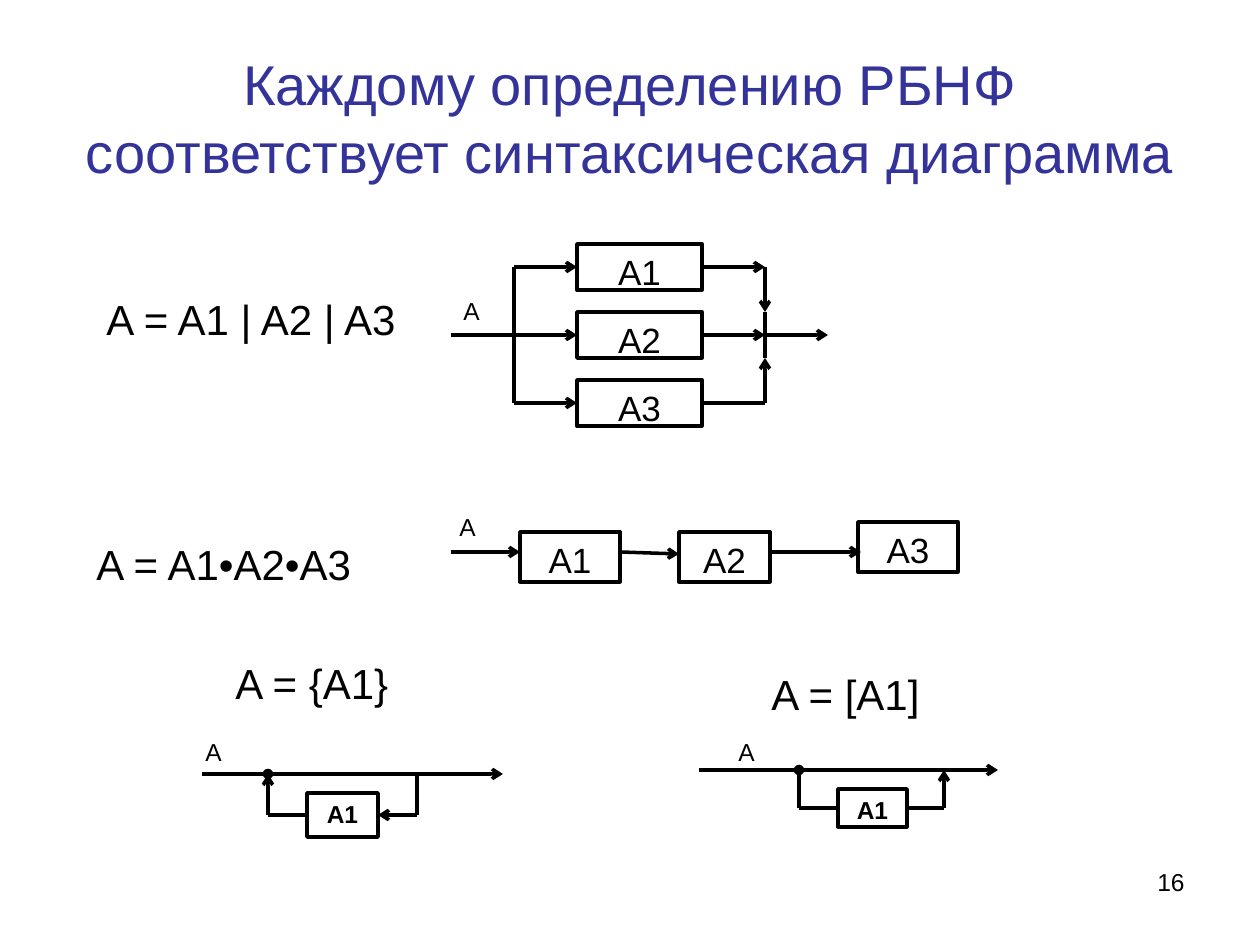
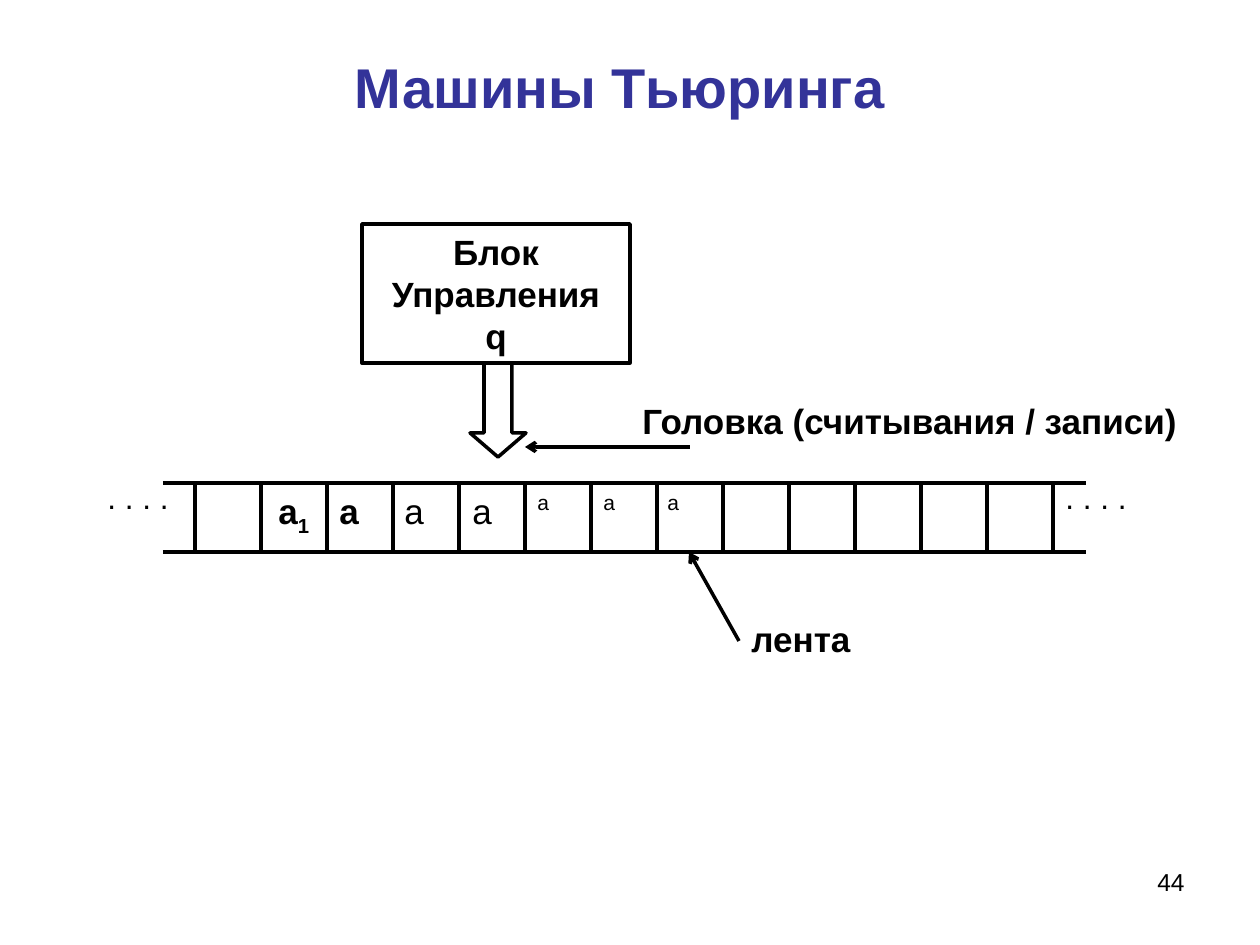
from lxml import etree
from pptx import Presentation, util as u
from pptx.dml.color import RGBColor
from pptx.enum import shapes, text
from pptx.oxml.ns import qn

PX = 914400 / 126
BLACK = RGBColor(0, 0, 0)
WHITE = RGBColor(255, 255, 255)
NAVY = RGBColor(0x33, 0x33, 0x99)
FONT = "Arial"
LEFT, MID, RIGHT = text.PP_ALIGN.LEFT, text.PP_ALIGN.CENTER, text.PP_ALIGN.RIGHT
TOP, CENTER = text.MSO_ANCHOR.TOP, text.MSO_ANCHOR.MIDDLE
WEST, EAST = 1, 3  # connection sites of a rectangle


def px(*nums):
    return [u.Emu(round(n * PX)) for n in nums]


class Pen:
    """Draws on a slide, in px from the corner of a region."""

    def __init__(self, slide, x=0, y=0):
        self.items, self.x, self.y = slide.shapes, x, y

    def place(self, x, y, *size):
        return px(self.x + x, self.y + y, *size)

    def letter(self, shape, words, size, bold, color, align, anchor):
        frame = shape.text_frame
        frame.word_wrap = True
        frame.vertical_anchor = anchor
        frame.text = words
        for para in frame.paragraphs:
            para.alignment = align
            font = para.font
            font.name, font.size, font.bold = FONT, u.Pt(size), bold
            font.color.rgb = color
        return frame

    def label(self, area, words, size, bold=False, color=BLACK, align=LEFT, anchor=TOP):
        shape = self.items.add_textbox(*self.place(*area))
        return self.letter(shape, words, size, bold, color, align, anchor)

    def shape(self, kind, area):
        shape = self.items.add_shape(kind, *self.place(*area))
        shape.shadow.inherit = False
        shape.fill.solid()
        shape.fill.fore_color.rgb = WHITE
        shape.line.color.rgb = BLACK
        shape.line.width = u.Pt(2)
        return shape

    def box(self, area, words, size=20, bold=False):
        shape = self.shape(shapes.MSO_SHAPE.RECTANGLE, area)
        self.letter(shape, words, size, bold, BLACK, MID, TOP)
        return shape

    def line(self, start, end, head=None, tail=None):
        """Each end is a point (x, y) or a joint (shape, site)."""
        joint = [not isinstance(e[0], int) for e in (start, end)]
        a = end if joint[0] else start
        b = start if joint[1] else end
        wire = self.items.add_connector(
            shapes.MSO_CONNECTOR.STRAIGHT, *self.place(*a), *self.place(*b))
        if joint[0]:
            wire.begin_connect(*start)
        if joint[1]:
            wire.end_connect(*end)
        wire.line.color.rgb = BLACK
        wire.line.width = u.Pt(2)
        for tag, kind in (("a:headEnd", head), ("a:tailEnd", tail)):
            if kind:
                etree.SubElement(wire.line._get_or_add_ln(), qn(tag), type=kind)
        etree.SubElement(wire._element.spPr, qn("a:effectLst"))

    def arrow(self, start, end):
        self.line(start, end, tail="arrow")


def new_page(deck, title, area, number, bold=False):
    slide = deck.slides.add_slide(deck.slide_layouts[6])
    pen = Pen(slide)
    pen.label(area, title, 32, bold, NAVY, MID, CENTER)
    pen.label((903, 861, 294, 66), number, 14, align=RIGHT)
    return slide


def choice(slide, x, y):
    """Three branches that split and meet again."""
    pen = Pen(slide, x, y)
    fork, left, wide, join, high, step = 63, 126, 125, 314, 46, 68
    rows = [high // 2 + i * step for i in range(3)]
    top, mid, low = rows
    boxes = [pen.box((left, row - high // 2, wide, high), f"A{i}")
             for i, row in enumerate(rows, 1)]
    # Split
    pen.line((fork, top), (fork, low))
    for row, box in zip(rows, boxes):
        pen.arrow((0 if row == mid else fork, row), (box, WEST))
    # Meet
    for row, box in zip(rows, boxes):
        pen.line((box, EAST), (join, row), tail=None if row == low else "arrow")
    pen.arrow((join, top), (join, mid - 23))
    pen.arrow((join, low), (join, mid + 23))
    pen.line((join, mid - 23), (join, mid + 23))
    pen.arrow((join, mid), (join + 63, mid))
    pen.label((0, 46, 63, 45), "A", 14)


def chain(slide, x, y):
    """Three boxes in a row."""
    pen = Pen(slide, x, y)
    for i, (left, top, wide) in enumerate(((69, 26, 100), (228, 26, 91), (407, 16, 100)), 1):
        pen.box((left, top, wide, 50), f"A{i}")
    for start, end in (((0, 46), (69, 46)), ((169, 46), (228, 48)), ((319, 46), (410, 46))):
        pen.arrow(start, end)
    pen.label((-4, 0, 50, 49), "A", 14)


def loop(slide, x, y):
    """A path back through A1."""
    pen = Pen(slide, x, y)
    rail, low, left, right = 43, 84, 75, 224
    pen.label((0, 0, 47, 44), "A", 14)
    pen.line((left, rail), (9, rail), head="oval")
    pen.arrow((left, rail), (310, rail))
    box = pen.box((114, 62, 71, 44), "A1", 14, True)
    pen.line((right, rail), (right, low))
    pen.arrow((right, low), (box, EAST))
    pen.line((left, low), (box, WEST))
    pen.arrow((left, low), (left, rail))


def bypass(slide, x, y):
    """A side path through A1."""
    pen = Pen(slide, x, y)
    rail, low, left, right = 39, 77, 100, 245
    pen.label((27, 0, 45, 39), "A", 14)
    pen.arrow((0, rail), (299, rail))
    box = pen.box((139, 58, 69, 38), "A1", 14, True)
    pen.line((left, rail), (left, low), head="oval")
    pen.line((left, low), (box, WEST))
    pen.line((box, EAST), (right, low))
    pen.arrow((right, low), (right, rail))


def syntax(deck):
    slide = new_page(deck, "Каждому определению РБНФ соответствует синтаксическая диаграмма",
                     (63, 38, 1134, 158), "16")
    pen = Pen(slide)
    for area, rule in (((94, 287, 336, 63), "A = A1 | A2 | A3"),
                       ((84, 532, 307, 63), "A = A1•A2•A3"),
                       ((223, 651, 198, 63), "A = {A1}"),
                       ((759, 662, 179, 63), "A = [A1]")):
        pen.label(area, rule, 24, anchor=CENTER)
    choice(slide, 451, 244)
    chain(slide, 451, 506)
    loop(slide, 193, 731)
    bypass(slide, 699, 731)


def tape(slide, x, y):
    """Endless tape with lettered cells."""
    pen = Pen(slide, x, y)
    first, cell, high, wide = 32, 66, 69, 923
    for row in (0, high):
        pen.line((0, row), (wide, row))
    for i in range(14):
        edge = first + i * cell
        pen.line((edge, 0), (edge, high))
    for left in (-68, 890):
        pen.label((left, -11, 102, 79), ". . . .", 18)
    # Letters: size, bold, nudge
    marks = [(20, True, 5), (20, True, 0), (20, False, -1), (20, False, 1),
             (12, False, 0), (12, False, 0), (12, False, -2)]
    for i, (size, bold, nudge) in enumerate(marks, 1):
        frame = pen.label((first + i * cell + nudge, 0, 68, 79), "а", size, bold)
        if i == 1:
            sub = frame.paragraphs[0].add_run()
            sub.text = "1"
            sub.font._element.set("baseline", "-25000")


def control(slide, x, y):
    """Control block with its head."""
    pen = Pen(slide, x, y)
    pen.box((0, 0, 268, 139), "Блок\nУправления\nq", 20, True)
    head = pen.shape(shapes.MSO_SHAPE.DOWN_ARROW, (108, 139, 56, 94))
    head.adjustments[1] = 0.43
    pen.label((268, 169, 576, 69), "Головка (считывания / записи)", 20, True)
    pen.arrow((328, 223), (163, 223))


def turing(deck):
    slide = new_page(deck, "Машины Тьюринга", (53, 43, 1134, 87), "44", True)
    tape(slide, 163, 483)
    control(slide, 362, 224)
    # Tape caption
    pen = Pen(slide, 739, 611)
    pen.arrow((0, 30), (-50, -59))
    pen.label((0, 0, 132, 50), "лента", 20, True)


def main():
    deck = Presentation()
    deck.slide_width, deck.slide_height = px(1260, 945)
    syntax(deck)
    turing(deck)
    deck.save("out.pptx")


if __name__ == "__main__":
    main()
